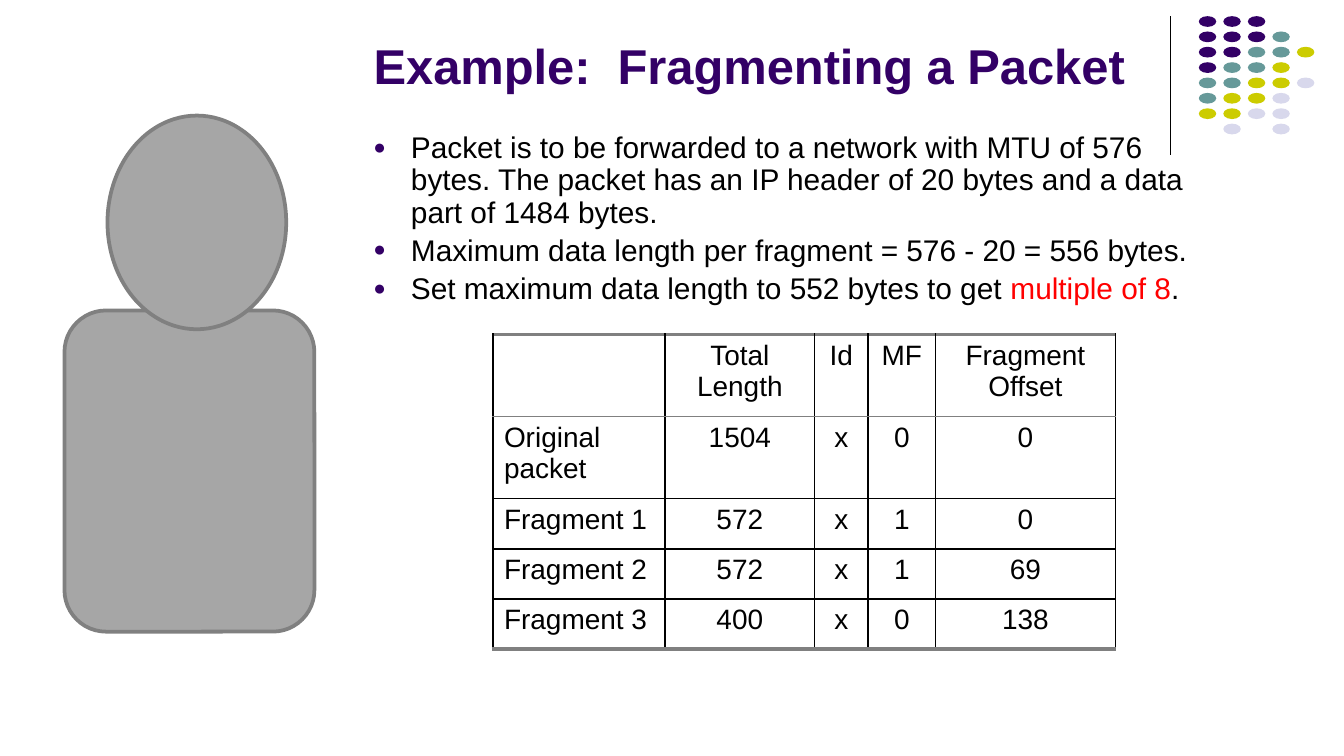
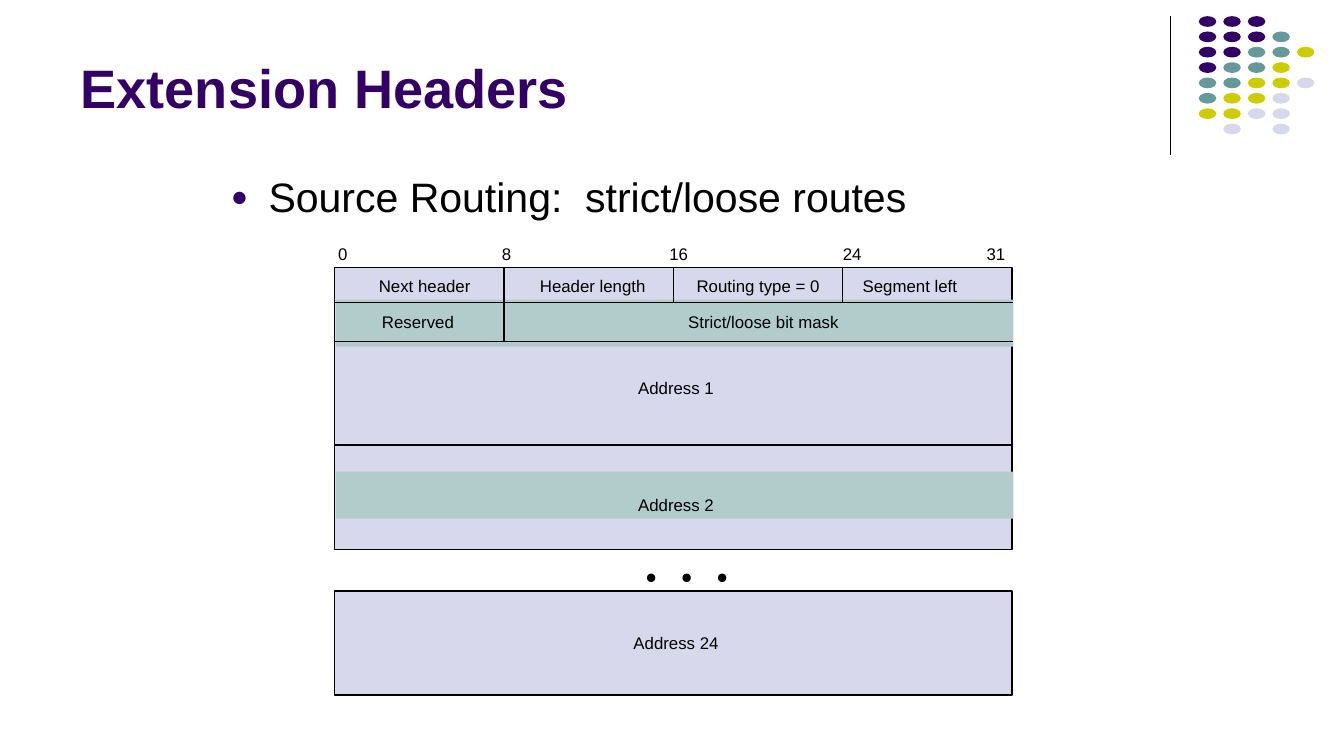
"""Build two slides on packet fragmentation and routing extension headers."""
import lxml.etree
import pptx
import pptx.dml.color
import pptx.enum.shapes
import pptx.enum.text
import pptx.oxml.ns
import pptx.util

Inches, Pt = pptx.util.Inches, pptx.util.Pt
RGB = pptx.dml.color.RGBColor.from_string
SHAPE = pptx.enum.shapes.MSO_SHAPE
ANCHOR = pptx.enum.text.MSO_ANCHOR
ALIGN = pptx.enum.text.PP_ALIGN
qn = pptx.oxml.ns.qn

COLORS = {
    "purple": "330066", "teal": "669999", "olive": "CCCC00", "lavender": "D8D8EC",
    "mint": "B1CCCB", "black": "000000", "red": "FF0000",
    "silver": "A6A6A6", "gray": "808080",
}


def write(frame, text, size=9, color="black", font="Arial", bold=False, align=ALIGN.LEFT,
          anchor=ANCHOR.TOP, wrap=True, margins=(0.1, 0.05), bullet=False,
          line_spacing=None, before=0, accent=None):
    frame.word_wrap = wrap
    frame.auto_size = pptx.enum.text.MSO_AUTO_SIZE.NONE
    frame.vertical_anchor = anchor
    frame.margin_left = frame.margin_right = Inches(margins[0])
    frame.margin_top = frame.margin_bottom = Inches(margins[1])
    paragraph = frame.add_paragraph() if frame.text else frame.paragraphs[0]
    if bullet:
        props = paragraph._p.get_or_add_pPr()
        props.set("marL", str(Inches(0.28)))
        props.set("indent", str(-Inches(0.28)))
        bullet_color = lxml.etree.SubElement(props, qn("a:buClr"))
        lxml.etree.SubElement(bullet_color, qn("a:srgbClr"), val=COLORS["purple"])
        lxml.etree.SubElement(props, qn("a:buSzPct"), val="70000")
        lxml.etree.SubElement(props, qn("a:buFont"), typeface="Arial")
        lxml.etree.SubElement(props, qn("a:buChar"), char="●")
    paragraph.alignment = align
    paragraph.space_before = Pt(before)
    if line_spacing:
        paragraph.line_spacing = line_spacing
    for part in text.partition(accent) if accent else [text]:
        run = paragraph.add_run()
        run.text = part
        run.font.size, run.font.name, run.font.bold = Pt(size), font, bold
        run.font.color.rgb = RGB(COLORS["red" if part == accent else color])


def draw(slide, kind, box, fill=None, line=None, width=0.88):
    box = [Inches(length) for length in box]
    if kind == "line":
        drawn = slide.shapes.add_connector(pptx.enum.shapes.MSO_CONNECTOR.STRAIGHT, *box)
        lxml.etree.SubElement(drawn._element.spPr, qn("a:effectLst"))
    else:
        drawn = slide.shapes.add_shape(kind, *box)
        drawn.shadow.inherit = False
        drawn.fill.solid()
        drawn.fill.fore_color.rgb = RGB(COLORS[fill])
    if line:
        drawn.line.color.rgb = RGB(COLORS[line])
        drawn.line.width = Pt(width)
    else:
        drawn.line.fill.background()
    return drawn


deck = pptx.Presentation()
deck.slide_width, deck.slide_height = Inches(10), Inches(10 * 9 / 16)

DOT_ROWS = ["PPP", "PPPT", "PPTTO", "PTTO", "TTOOL", "TOOL", "OOLL", " L L"]
DOT_COLORS = {"P": "purple", "T": "teal", "O": "olive", "L": "lavender"}
TITLES = [
    ("Example:  Fragmenting a Packet", 26.2, (2.68, 0.1, 6.07, 0.65)),
    ("Extension Headers", 29, (0.5, 0.1, 8.25, 0.84)),
]
for title, size, box in TITLES:
    slide = deck.slides.add_slide(deck.slide_layouts[5])
    heading = slide.shapes.title
    heading.left, heading.top, heading.width, heading.height = map(Inches, box)
    write(heading.text_frame, title, size=size, color="purple", bold=True,
          anchor=ANCHOR.BOTTOM)
    draw(slide, "line", (8.71, 0.12, 8.71, 1.15), line="black", width=0.75)
    for row, dots in enumerate(DOT_ROWS):
        for column, dot in enumerate(dots):
            if dot != " ":
                dot_box = (8.92 + 0.73 / 4 * column, 0.12 + 0.8 / 7 * row, 0.13, 0.08)
                draw(slide, SHAPE.OVAL, dot_box, fill=DOT_COLORS[dot])

fragmenting, extension = deck.slides

steps = fragmenting.shapes.add_textbox(*map(Inches, (2.68, 0.94, 6.36, 1.56))).text_frame
STEPS = [
    ("Packet is to be forwarded to a network with MTU of 576 bytes. "
     "The packet has an IP header of 20 bytes and a data part of 1484 bytes.", 0, None),
    ("Maximum data length per fragment = 576 - 20 = 556 bytes.", 3.2, None),
    ("Set maximum data length to 552 bytes to get multiple of 8.", 3.2, "multiple of 8"),
]
for step, before, accent in STEPS:
    write(steps, step, size=16, bullet=True, line_spacing=0.9, before=before, accent=accent)

FRAGMENTS = [
    ["", "Total Length", "Id", "MF", "Fragment Offset"],
    ["Original packet", "1504", "x", "0", "0"],
    ["Fragment 1", "572", "x", "1", "0"],
    ["Fragment 2", "572", "x", "1", "69"],
    ["Fragment 3", "400", "x", "0", "138"],
]
fragment_table = fragmenting.shapes.add_table(
    5, 5, *map(Inches, (3.67, 2.49, 4.63, 2.34))).table
fragment_table.first_row = fragment_table.horz_banding = False
for column, width in zip(fragment_table.columns, (1.28, 1.11, 0.4, 0.5, 1.34)):
    column.width = Inches(width)
for r, row in enumerate(fragment_table.rows):
    row.height = Inches(0.61 if r < 2 else (2.34 - 2 * 0.61) / 3)
RULES = [("gray", 2), ("gray", 1)] + [("black", 1)] * 3 + [("gray", 2)]
for r, values in enumerate(FRAGMENTS):
    for c, value in enumerate(values):
        cell = fragment_table.cell(r, c)
        props = cell._tc.get_or_add_tcPr()
        sides = {"L": ("black", 1), "R": ("black", 1), "T": RULES[r], "B": RULES[r + 1]}
        for side, (color, width) in sides.items():
            border = lxml.etree.SubElement(props, qn("a:ln" + side), w=str(Pt(width)))
            border_fill = lxml.etree.SubElement(border, qn("a:solidFill"))
            lxml.etree.SubElement(border_fill, qn("a:srgbClr"), val=COLORS[color])
        cell.fill.background()
        cell.margin_left = cell.margin_right = Inches(0.08)
        cell.margin_top = cell.margin_bottom = Inches(0.04)
        if value:
            write(cell.text_frame, value, size=15,
                  align=ALIGN.CENTER if c or not r else ALIGN.LEFT)

draw(fragmenting, SHAPE.ROUNDED_RECTANGLE, (0.48, 2.31, 1.86, 2.39), "silver", "gray", 2)
draw(fragmenting, SHAPE.OVAL, (0.8, 0.86, 1.33, 1.59), "silver", "gray", 2)

topic = extension.shapes.add_textbox(*map(Inches, (1.62, 1.23, 6.75, 0.54))).text_frame
write(topic, "Source Routing:  strict/loose routes", size=22, bullet=True)

header = draw(extension, SHAPE.RECTANGLE, (2.49, 1.99, 5.04, 2.1), "lavender", "black")
for band_top in (2.23, 3.51):
    draw(extension, SHAPE.RECTANGLE, (2.5, band_top, 5.04, 0.35), "mint")
draw(extension, SHAPE.RECTANGLE, (2.49, 4.4, 5.04, 0.77), "lavender", "black")
for row_line in (2.25, 2.54, 3.31):
    draw(extension, "line", (2.49, row_line, 7.54, row_line), line="black")
for field, bottom in enumerate((2.54, 2.25, 2.25), 1):
    x = 2.49 + 1.26 * field
    divider = draw(extension, "line", (x, 1.99, x, bottom), line="black")
    if field == 2:
        divider.begin_connect(header, 0)

LABEL_ROWS = [
    (1.81, [("0", 2.55), ("8", 3.77), ("16", 5.05), ("24", 6.34), ("31", 7.41)]),
    (2.05, [("Next header", 3.16), ("Header length", 4.41),
            ("Routing type = 0", 5.64), ("Segment left", 6.77)]),
    (2.32, [("Reserved", 3.11), ("Strict/loose bit mask", 5.68)]),
    (2.81, [("Address 1", 5.03)]),
    (3.68, [("Address 2", 5.03)]),
    (4.71, [("Address 24", 5.03)]),
]
for top, labels in LABEL_ROWS:
    for label, center in labels:
        width = 0.2 if len(label) < 3 else 1.2
        field_label = extension.shapes.add_textbox(
            *map(Inches, (center - width / 2, top, width, 0.15)))
        write(field_label.text_frame, label, align=ALIGN.CENTER, wrap=False, margins=(0, 0))

ellipsis = extension.shapes.add_textbox(*map(Inches, (4.78, 3.8, 0.67, 0.64))).text_frame
write(ellipsis, ". . .", size=38, font="Times New Roman", wrap=False, margins=(0, 0))

deck.save("out.pptx")
